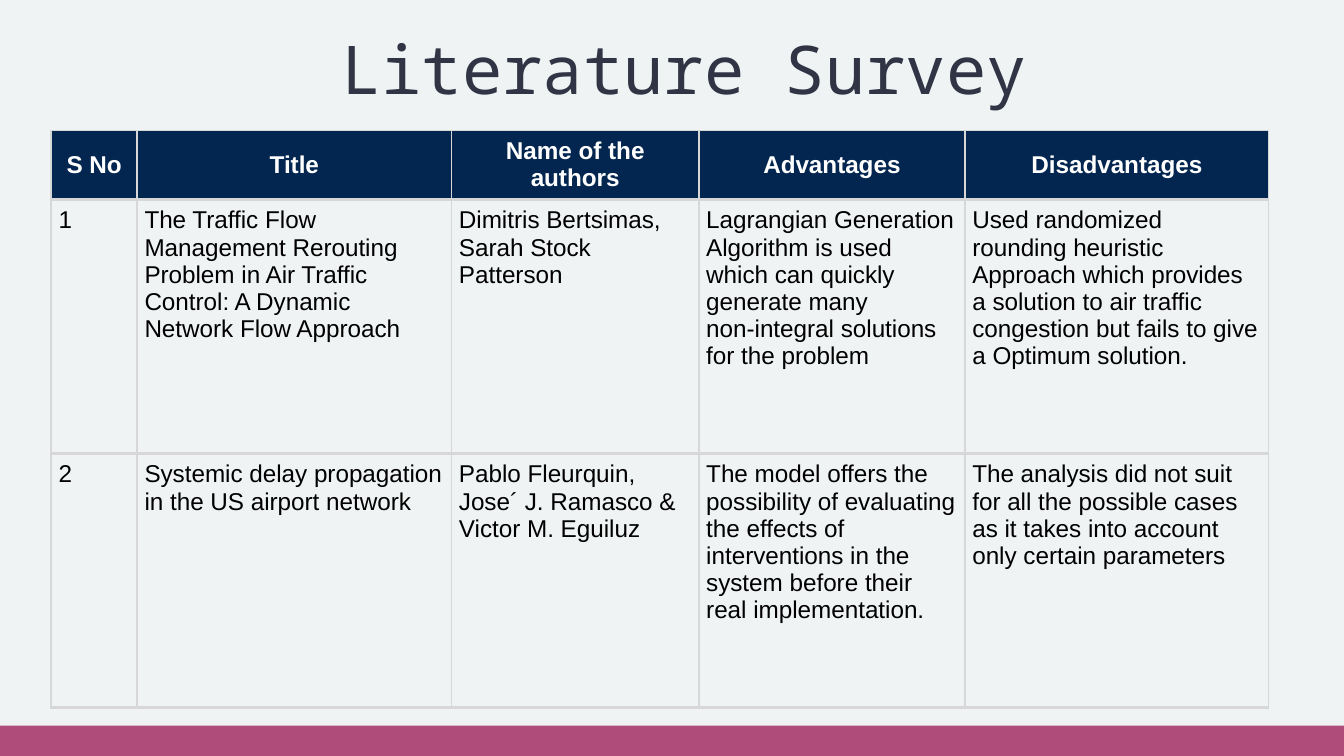
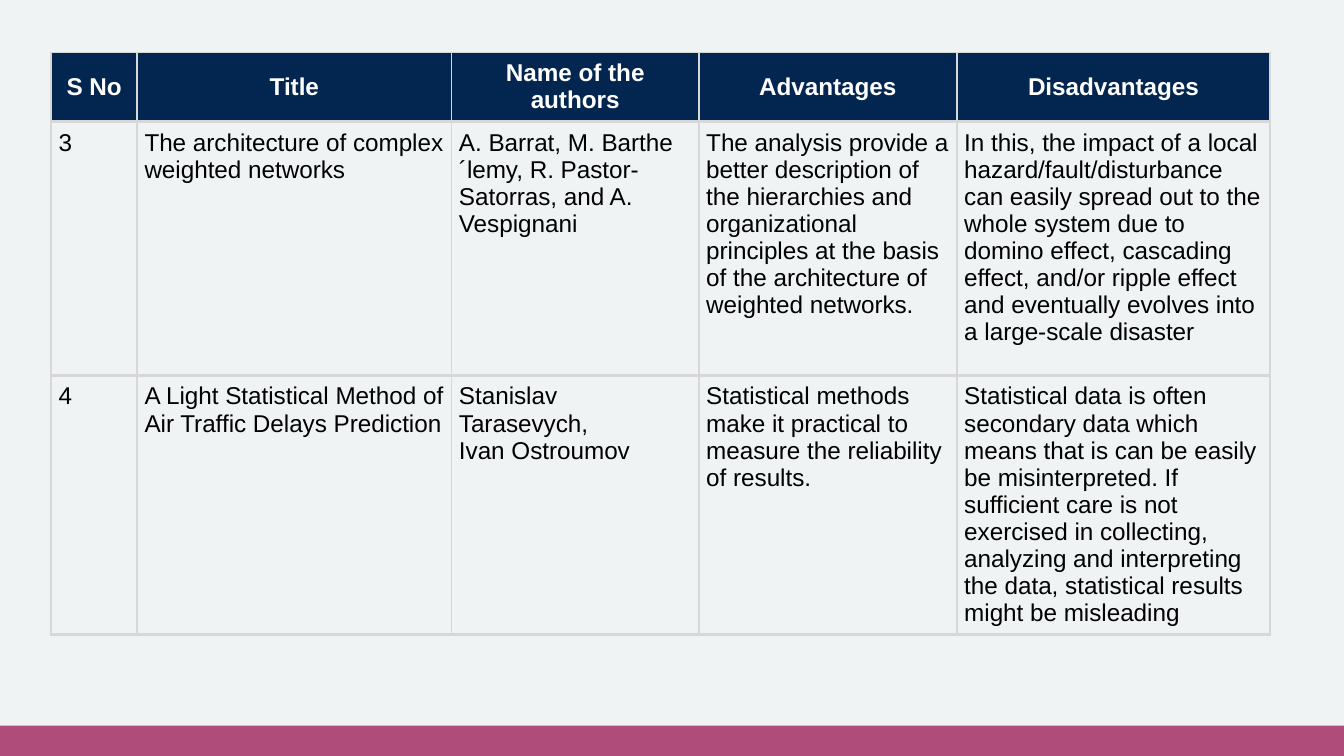
from lxml import etree
from pptx import Presentation
from pptx.dml.color import RGBColor
from pptx.enum.shapes import MSO_SHAPE
from pptx.enum.text import MSO_ANCHOR, MSO_AUTO_SIZE, PP_ALIGN
from pptx.oxml.ns import qn
from pptx.util import Inches, Pt

RECT = MSO_SHAPE.RECTANGLE
MIDDLE, TOP = MSO_ANCHOR.MIDDLE, MSO_ANCHOR.TOP
CENTER, LEFT = PP_ALIGN.CENTER, PP_ALIGN.LEFT
NO_FIT = MSO_AUTO_SIZE.NONE

COLORS = {
    "back": "F0F3F4", "band": "B04C7A", "head": "032650", "rule": "D6D7D6",
    "title": "313445", "white": "FFFFFF", "black": "000000",
}
HEAD = ["S No", "Title", "Name of the authors", "Advantages", "Disadvantages"]
HEIGHTS = [0.51, 1.89, 1.89]
PAD = Pt(4)

FIRST = [
    ["1",
     "The Traffic Flow Management Rerouting Problem in Air Traffic Control: "
     "A Dynamic Network Flow Approach",
     "Dimitris Bertsimas, Sarah Stock Patterson",
     "Lagrangian Generation Algorithm is used which can quickly generate many\n"
     "non-integral solutions for the problem",
     "Used randomized rounding heuristic\n"
     "Approach which provides a solution to air traffic congestion but fails "
     "to give a Optimum solution."],
    ["2",
     "Systemic delay propagation in the US airport network",
     "Pablo Fleurquin, Jose´ J. Ramasco & Victor M. Eguiluz",
     "The model offers the possibility of evaluating the effects of "
     "interventions in the system before their real implementation.",
     "The analysis did not suit for all the possible cases as it takes into "
     "account only certain parameters"],
]
SECOND = [
    ["3",
     "The architecture of complex weighted networks",
     "A. Barrat, M. Barthe´lemy, R. Pastor-Satorras, and A. Vespignani",
     "The analysis provide a better description of the hierarchies and "
     "organizational principles at the basis of the architecture of weighted "
     "networks.",
     "In this, the impact of a local hazard/fault/disturbance can easily "
     "spread out to the whole system due to domino effect, cascading effect, "
     "and/or ripple effect and eventually evolves into a large-scale disaster"],
    ["4",
     "A Light Statistical Method of Air Traffic Delays Prediction",
     "Stanislav Tarasevych,\nIvan Ostroumov",
     "Statistical methods make it practical to measure the reliability of "
     "results.",
     "Statistical data is often secondary data which means that is can be "
     "easily be misinterpreted. If sufficient care is not exercised in "
     "collecting, analyzing and interpreting the data, statistical results "
     "might be misleading"],
]


def color(name):
    return RGBColor.from_string(COLORS[name])


def write(frame, text, size=13, font="Arial", ink="black", bold=False, align=LEFT):
    frame.text = text
    frame.word_wrap = True
    for para in frame.paragraphs:
        para.alignment = align
        for run in para.runs:
            run.font.size = Pt(size)
            run.font.name = font
            run.font.bold = bold
            run.font.color.rgb = color(ink)


class Deck:
    """Holds the shared style and the slide being built."""

    def __init__(self):
        self.prs = Presentation()
        self.prs.slide_width = Inches(10)
        self.prs.slide_height = Inches(10 * 9 / 16)
        fill = self.prs.slide_master.background.fill
        fill.solid()
        fill.fore_color.rgb = color("back")
        self.slide = None

    def start(self, title=None):
        layout = self.prs.slide_layouts[5 if title else 6]
        self.slide = self.prs.slides.add_slide(layout)
        self.band()
        if title:
            self.title(title)

    def band(self):
        top = Inches(5.4)
        bar = self.slide.shapes.add_shape(
            RECT, 0, top, self.prs.slide_width, self.prs.slide_height - top)
        bar.shadow.inherit = False
        bar.fill.solid()
        bar.fill.fore_color.rgb = color("band")
        bar.line.fill.background()

    def title(self, text):
        box = self.slide.shapes.title
        box.left, box.top = Inches(0.73), Inches(0.1)
        box.width, box.height = Inches(8.72), Inches(0.8)
        frame = box.text_frame
        frame.auto_size = NO_FIT
        frame.vertical_anchor = MIDDLE
        write(frame, text, size=36, font="Noto Sans Mono", ink="title", align=CENTER)

    def table(self, top, widths, body):
        rows = [HEAD] + body
        shape = self.slide.shapes.add_table(
            len(rows), len(widths), Inches(0.38), Inches(top),
            Inches(sum(widths)), Inches(sum(HEIGHTS)))
        grid = shape.table
        grid.first_row = grid.horz_banding = False
        for col, width in zip(grid.columns, widths):
            col.width = Inches(width)
        for row, height in zip(grid.rows, HEIGHTS):
            row.height = Inches(height)
        for r, texts in enumerate(rows):
            for c, text in enumerate(texts):
                self.cell(grid.cell(r, c), text, r == 0)

    def cell(self, cell, text, head):
        cell.margin_left = cell.margin_right = PAD
        cell.margin_top = cell.margin_bottom = PAD
        cell.vertical_anchor = MIDDLE if head else TOP
        self.edges(cell, {"L": 1, "R": 1, "T": 1 if head else 2, "B": 2})
        if head:
            cell.fill.solid()
            cell.fill.fore_color.rgb = color("head")
            write(cell.text_frame, text, ink="white", bold=True, align=CENTER)
        else:
            cell.fill.background()
            write(cell.text_frame, text)

    def edges(self, cell, sides):
        props = cell._tc.get_or_add_tcPr()
        for side, width in sides.items():
            line = etree.SubElement(props, qn("a:ln" + side), w=str(Pt(width)))
            fill = etree.SubElement(line, qn("a:solidFill"))
            etree.SubElement(fill, qn("a:srgbClr"), val=COLORS["rule"])


def main():
    deck = Deck()
    deck.start("Literature Survey")
    deck.table(0.97, [0.64, 2.34, 1.84, 1.98, 2.26], FIRST)
    deck.start()
    deck.table(0.39, [0.64, 2.34, 1.84, 1.92, 2.33], SECOND)
    deck.prs.save("out.pptx")


if __name__ == "__main__":
    main()
